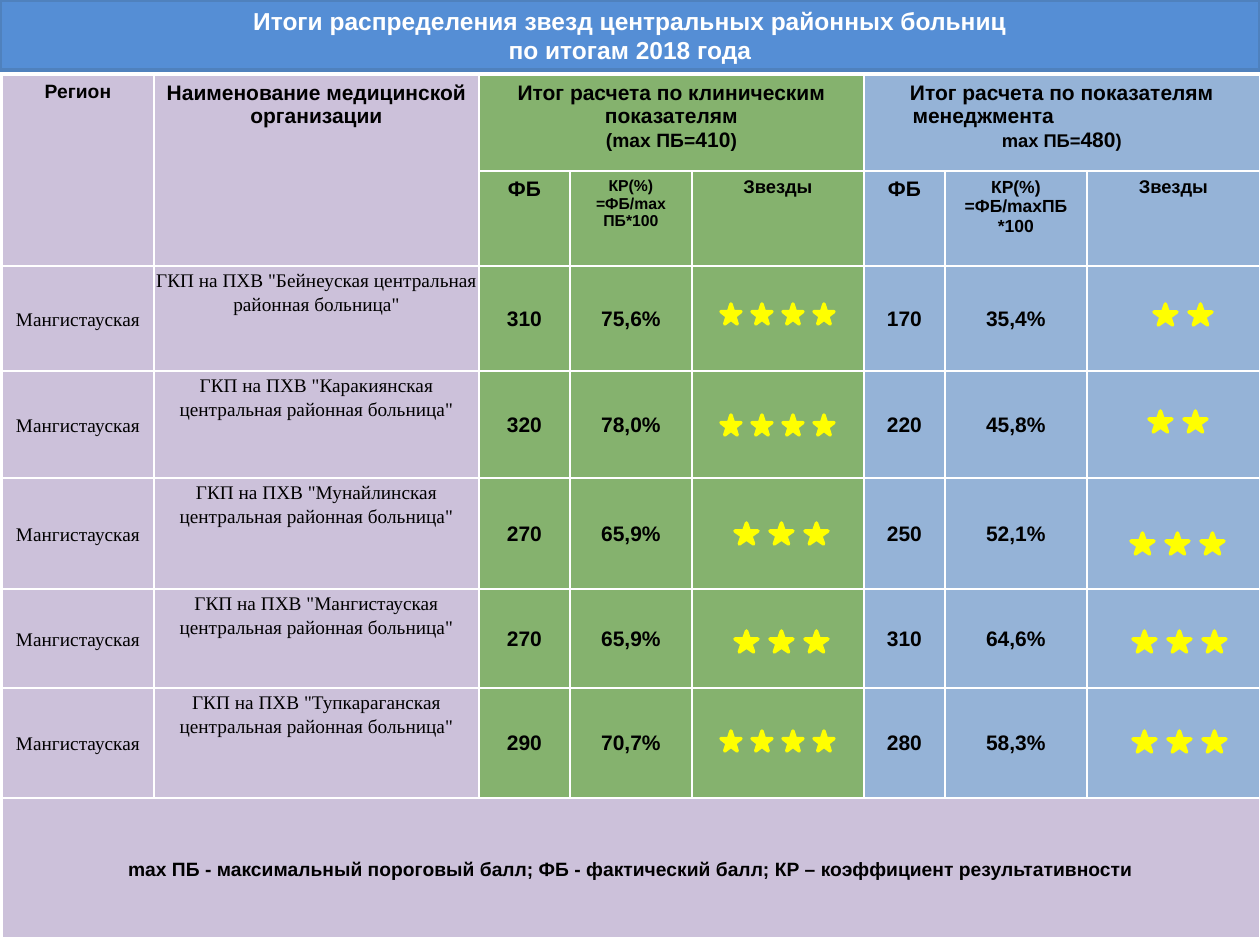
from dataclasses import dataclass

from lxml.etree import SubElement
from pptx import Presentation
from pptx.dml.color import RGBColor
from pptx.enum.shapes import MSO_SHAPE
from pptx.enum.text import MSO_ANCHOR, MSO_AUTO_SIZE, PP_ALIGN
from pptx.oxml.ns import qn
from pptx.util import Emu, Pt


def px(n):
    return Emu(round(n * 914400 / 126))


@dataclass(frozen=True)
class Theme:
    sans: str = "Arial"
    serif: str = "Times New Roman"
    banner: str = "558ED5"
    banner_line: str = "4F81BD"
    lilac: str = "CCC1DA"
    green: str = "85B26E"
    blue: str = "95B3D7"
    star: str = "FFFF00"
    white: str = "FFFFFF"
    black: str = "000000"
    title: float = 14
    large: float = 12
    body: float = 11
    label: float = 10.5
    small: float = 10
    tiny: float = 9


class SlideBuilder:
    def __init__(self, slide, theme):
        self.s = slide
        self.t = theme

    def paint(self, sp, fill, line):
        sp.fill.solid()
        sp.fill.fore_color.rgb = RGBColor.from_string(fill)
        sp.line.color.rgb = RGBColor.from_string(line)
        sp.line.width = Pt(2)

    def style(self, p, size, color, name, bold):
        f = p.font
        f.name, f.bold = name, bold
        f.color.rgb = RGBColor.from_string(color)
        if size:
            f.size = Pt(size)

    def title(self, text, x, y, w, h):
        sp = self.s.shapes.title
        sp.left, sp.top, sp.width, sp.height = map(px, (x, y, w, h))
        self.paint(sp, self.t.banner, self.t.banner_line)
        tf = sp.text_frame
        tf.text = text
        tf.auto_size = MSO_AUTO_SIZE.NONE
        tf.vertical_anchor = MSO_ANCHOR.MIDDLE
        p = tf.paragraphs[0]
        p.alignment = PP_ALIGN.CENTER
        self.style(p, self.t.title, self.t.white, self.t.sans, True)

    def table(self, x, y, cols, rows):
        frame = self.s.shapes.add_table(len(rows), len(cols), px(x), px(y),
                                        px(sum(cols)), px(sum(rows)))
        table = frame.table
        table.first_row = table.horz_banding = False
        for col, w in zip(table.columns, cols):
            col.width = px(w)
        for row, h in zip(table.rows, rows):
            row.height = px(h)
        return table

    def fill_cell(self, cell, fill):
        tcPr = cell._tc.get_or_add_tcPr()
        for side in ("a:lnL", "a:lnR", "a:lnT", "a:lnB"):
            ln = SubElement(tcPr, qn(side), w=str(Pt(1)))
            SubElement(SubElement(ln, qn("a:solidFill")), qn("a:srgbClr"), val=self.t.white)
        cell.fill.solid()
        cell.fill.fore_color.rgb = RGBColor.from_string(fill)

    def cell_text(self, cell, *lines, size=None, name=None, bold=True,
                  anchor=MSO_ANCHOR.TOP, insets=None, spacing=None):
        """A line is a string, or a list of (text, size) runs."""
        cell.vertical_anchor = anchor
        if insets:
            (cell.margin_left, cell.margin_top,
             cell.margin_right, cell.margin_bottom) = map(px, insets)
        tf = cell.text_frame
        for i, line in enumerate(lines):
            p = tf.add_paragraph() if i else tf.paragraphs[0]
            p.alignment = PP_ALIGN.CENTER
            if spacing:
                p.line_spacing = spacing
            mixed = not isinstance(line, str)
            self.style(p, None if mixed else size, self.t.black, name or self.t.sans, bold)
            for text, run_size in line if mixed else [(line, None)]:
                r = p.add_run()
                r.text = text
                if run_size:
                    r.font.size = Pt(run_size)

    def stars(self, count, x, y):
        w, h, pitch = (20, 20, 31) if count == 4 else (23, 21, 35)
        group = self.s.shapes.add_group_shape()
        for i in range(count):
            sp = group.shapes.add_shape(MSO_SHAPE.STAR_5_POINT, px(x + i * pitch),
                                        px(y), px(w), px(h))
            sp.shadow.inherit = False
            self.paint(sp, self.t.star, self.t.star)


COLS = [152, 325, 91, 122, 172, 81, 142, 173]
ROWS = [96, 95, 105, 107, 111, 99, 110, 140]
REGION = "Мангистауская"
# Hospital, then per group: score, ratio, (stars, left, top)
HOSPITALS = [
    ("Бейнеуская", ("310", "75,6%", (4, 721, 304)), ("170", "35,4%", (2, 1154, 304))),
    ("Каракиянская", ("320", "78,0%", (4, 721, 415)), ("220", "45,8%", (2, 1149, 411))),
    ("Мунайлинская", ("270", "65,9%", (3, 735, 523)), ("250", "52,1%", (3, 1131, 533))),
    ("Мангистауская", ("270", "65,9%", (3, 735, 631)), ("310", "64,6%", (3, 1133, 631))),
    ("Тупкараганская", ("290", "70,7%", (4, 721, 731)), ("280", "58,3%", (3, 1133, 731))),
]


def main():
    prs = Presentation()
    prs.slide_width, prs.slide_height = px(1260), px(945)
    t = Theme()
    b = SlideBuilder(prs.slides.add_slide(prs.slide_layouts[5]), t)

    b.title("Итоги распределения звезд центральных районных больниц\v"
            "по итогам 2018 года", 0, 0, 1260, 70)

    # Grid, column colours and merged cells
    table = b.table(2, 75, COLS, ROWS)
    last = len(ROWS) - 1
    fills = [t.lilac] * 2 + [t.green] * 3 + [t.blue] * 3
    for r in range(len(ROWS)):
        for c, fill in enumerate(fills):
            b.fill_cell(table.cell(r, c), t.lilac if r == last else fill)
    for r, c, r2, c2 in [(0, 0, 1, 0), (0, 1, 1, 1), (0, 2, 0, 4), (0, 5, 0, 7),
                         (last, 0, last, 7)]:
        table.cell(r, c).merge(table.cell(r2, c2))

    # Headings
    b.cell_text(table.cell(0, 0), "Регион", size=t.body)
    b.cell_text(table.cell(0, 1), "Наименование медицинской организации", size=t.large)
    b.cell_text(table.cell(0, 2), "Итог расчета по клиническим показателям",
                [("(mах ПБ=", t.body), ("410", t.large), (")", t.body)], size=t.large)
    management = table.cell(0, 5)
    b.cell_text(management, "Итог расчета по показателям", "менеджмента",
                [("mах ПБ=", t.label), ("480", t.large), (")", t.label)], size=t.large)
    p = management.text_frame.paragraphs[1]
    p.alignment = PP_ALIGN.LEFT
    p._p.get_or_add_pPr().set("marL", str(px(36)))
    for c, formula, size in [(2, "=ФБ/mах ПБ*100", t.tiny), (5, "=ФБ/mахПБ *100", t.small)]:
        b.cell_text(table.cell(1, c), "ФБ", size=t.large)
        b.cell_text(table.cell(1, c + 1), "КР(%)", formula, size=size)
        b.cell_text(table.cell(1, c + 2), "Звезды", size=t.label)

    # Hospitals
    tight, side = (1, 1, 1, 0), (9, 0, 9, 0)
    serif = dict(size=t.body, name=t.serif, bold=False, spacing=1.15)
    for r, (hospital, *groups) in enumerate(HOSPITALS, 2):
        b.cell_text(table.cell(r, 0), REGION, anchor=MSO_ANCHOR.MIDDLE, insets=side, **serif)
        b.cell_text(table.cell(r, 1), f'ГКП на ПХВ "{hospital} центральная районная больница"',
                    insets=tight, **serif)
        for c, (score, ratio, stars) in zip((2, 5), groups):
            for i, value in enumerate((score, ratio)):
                b.cell_text(table.cell(r, c + i), value, size=t.large,
                            anchor=MSO_ANCHOR.MIDDLE, insets=tight)
            b.stars(*stars)

    # Legend
    b.cell_text(table.cell(last, 0),
                "mах ПБ - максимальный пороговый балл; ФБ - фактический балл; "
                "КР – коэффициент результативности",
                size=t.body, anchor=MSO_ANCHOR.MIDDLE, insets=side, spacing=1.15)

    prs.save("out.pptx")


if __name__ == "__main__":
    main()
